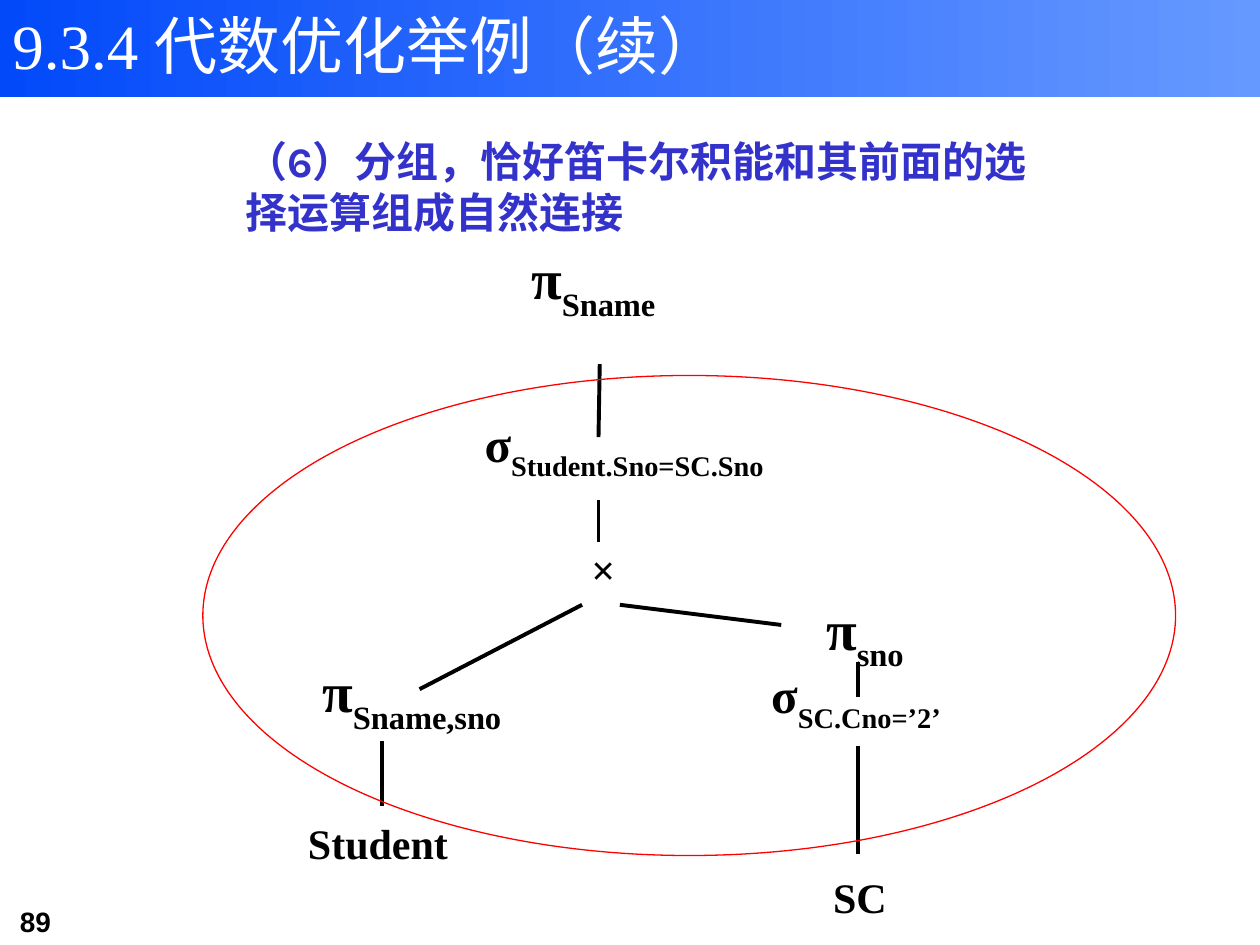
from dataclasses import dataclass

from lxml import etree
from pptx import Presentation
from pptx import util as u
from pptx.dml.color import RGBColor
from pptx.enum import shapes, text
from pptx.oxml.ns import qn


@dataclass(frozen=True)
class Theme:
    bar_start: str = "0249FA"
    bar_end: str = "6699FF"
    title: str = "FFFFFF"
    heading: str = "3333CC"
    ink: str = "000000"
    ring: str = "FF0000"
    serif: str = "Times New Roman"
    sans: str = "Arial"
    heading_font: str = "Karla"
    title_size: int = 36
    pi_size: int = 32
    sigma_size: int = 28
    body_size: int = 24
    number_size: int = 16
    edge_width: float = 2.25
    ring_width: float = 0.75


T = Theme()

# box, operator, subscript, operator size
OPERATORS = [
    ((4, 1.87, 1.5, 0.75), "π", "Sname", T.pi_size),
    ((5.67, 5.3, 2.33, 0.5), "σ", "SC.Cno=’2’", T.sigma_size),
    ((3.58, 3.22, 2.83, 0.67), "σ", "Student.Sno=SC.Sno", T.sigma_size),
    ((2.41, 5.15, 1.8, 0.75), "π", "Sname,sno", T.pi_size),
    ((6.1, 4.94, 1.61, 0.18), "π", "sno", T.pi_size),
]
LEAVES = [
    ((4.33, 4.22, 1, 0.58), "× "),
    ((2.3, 6.4, 1.4, 0.58), "Student"),
    ((6.2, 6.78, 1.25, 0.67), "SC"),
]
EDGES = [
    (4.76, 2.89, 4.75, 3.47),
    (4.75, 3.97, 4.75, 4.3),
    (4.62, 4.8, 3.33, 5.47),
    (4.92, 4.8, 6.2, 4.96),
    (6.81, 5.25, 6.81, 5.53),
    (6.81, 5.92, 6.81, 6.78),
    (3.03, 5.88, 3.03, 6.4),
]


def inches(values):
    return [u.Inches(v) for v in values]


def rgb(value):
    return RGBColor.from_string(value)


def add_run(p, words, size, color=T.ink, font=T.serif, bold=True, baseline=None):
    r = p.add_run()
    r.text = words
    for name, value in {"size": u.Pt(size), "name": font, "bold": bold}.items():
        setattr(r.font, name, value)
    r.font.color.rgb = rgb(color)
    if baseline is not None:
        r.font._element.set("baseline", str(baseline * 1000))


def add_text(s, box, **frame_format):
    """Add an empty text box and return its first paragraph."""
    tf = s.shapes.add_textbox(*inches(box)).text_frame
    for name, value in {"word_wrap": True, **frame_format}.items():
        setattr(tf, name, value)
    return tf.paragraphs[0]


def add_node(s, box, runs):
    """Add a centred tree node; each run is (words, size, baseline)."""
    p = add_text(s, box, word_wrap=False, auto_size=text.MSO_AUTO_SIZE.NONE,
                 vertical_anchor=text.MSO_ANCHOR.MIDDLE)
    p.alignment = text.PP_ALIGN.CENTER
    for words, size, baseline in runs:
        add_run(p, words, size, baseline=baseline)


def add_edge(s, ends):
    line = s.shapes.add_connector(shapes.MSO_CONNECTOR.STRAIGHT, *inches(ends))
    line.line.color.rgb = rgb(T.ink)
    line.line.width = u.Pt(T.edge_width)
    etree.SubElement(line._element.spPr, qn("a:effectLst"))


def add_title_bar(s):
    sp = s.shapes.add_shape(shapes.MSO_SHAPE.RECTANGLE, *inches((0, 0, 10, 0.77)))
    sp.shadow.inherit = False
    sp.line.fill.background()
    sp.fill.gradient()
    sp.fill.gradient_angle = 0
    for stop, color, position in zip(
        sp.fill.gradient_stops, (T.bar_start, T.bar_end), (0, 1)
    ):
        stop.color.rgb = rgb(color)
        stop.position = position


def add_group_ring(s):
    sp = s.shapes.add_shape(shapes.MSO_SHAPE.OVAL, *inches((1.61, 2.98, 7.72, 3.81)))
    sp.shadow.inherit = False
    sp.fill.background()
    sp.line.color.rgb = rgb(T.ring)
    sp.line.width = u.Pt(T.ring_width)


def main():
    prs = Presentation()
    prs.slide_width, prs.slide_height = inches((10, 7.5))
    s = prs.slides.add_slide(prs.slide_layouts[6])

    add_title_bar(s)
    add_run(add_text(s, (0.06, 7.13, 1.22, 0.37)), "89", T.number_size, font=T.sans)
    add_run(add_text(s, (0, 0, 6.93, 1.31)), "9.3.4 代数优化举例（续）",
            T.title_size, T.title, bold=False)
    add_run(add_text(s, (1.85, 1.03, 6.73, 1.31)),
            "（6）分组，恰好笛卡尔积能和其前面的选择运算组成自然连接",
            T.body_size, T.heading, T.heading_font)

    for box, operator, subscript, size in OPERATORS:
        add_node(s, box, [(operator, size, None), (subscript, size, -30),
                          (" ", T.body_size, 0)])
    for box, words in LEAVES:
        add_node(s, box, [(words, T.body_size, None)])
    for ends in EDGES:
        add_edge(s, ends)
    add_group_ring(s)

    prs.save("out.pptx")


if __name__ == "__main__":
    main()
